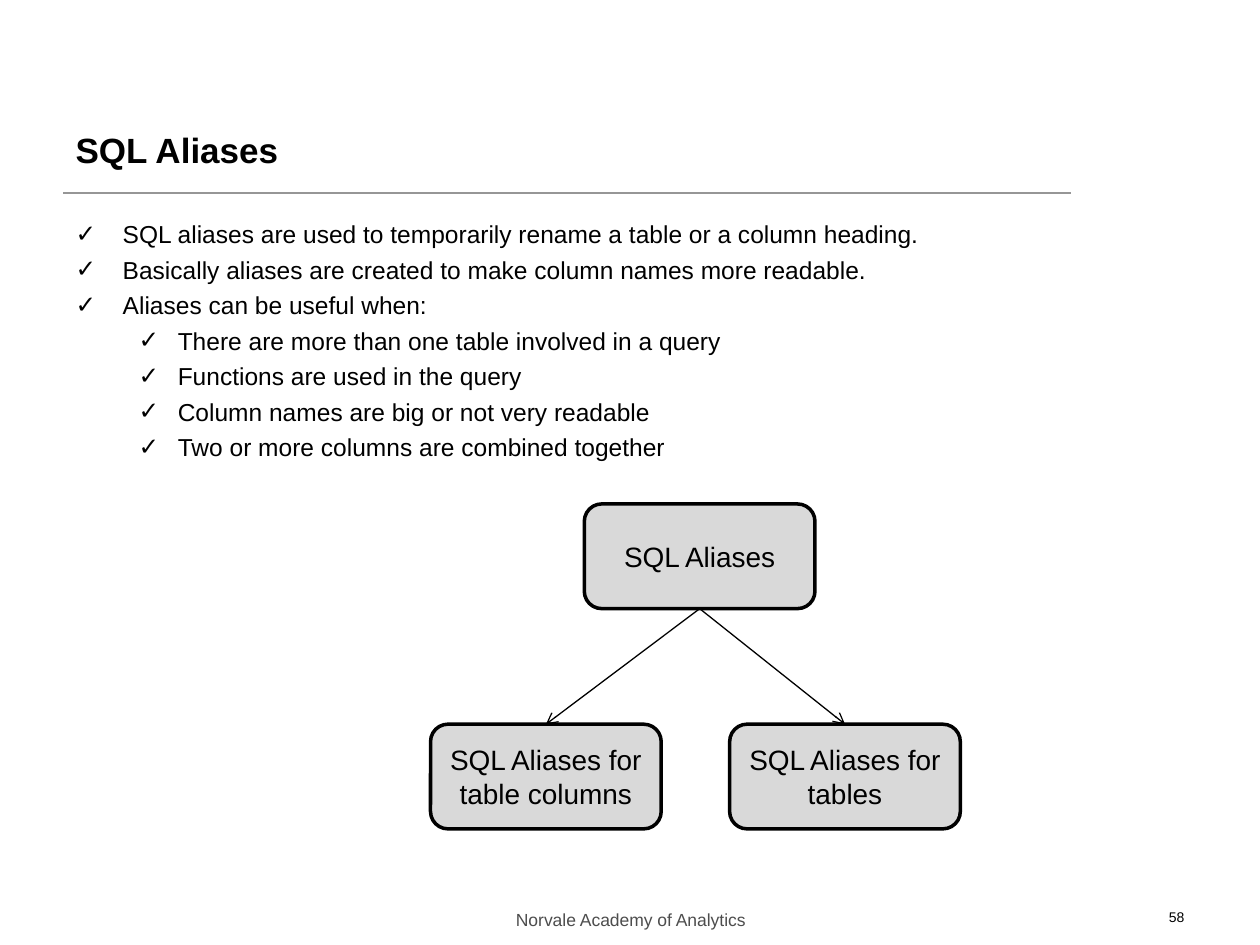
from dataclasses import dataclass

import lxml.etree
import pptx
import pptx.dml.color
import pptx.enum.shapes
import pptx.enum.text
import pptx.oxml.ns
import pptx.util

Cm = pptx.util.Cm
Pt = pptx.util.Pt
Align = pptx.enum.text.PP_ALIGN
Anchor = pptx.enum.text.MSO_ANCHOR

FONT = "Arial"
BLACK = "000000"
BOX_WIDTH, BOX_HEIGHT = 4.65, 2.11
BOTTOM, TOP = 2, 0


@dataclass
class Bullet:
    text: str
    level: int = 0


@dataclass
class Box:
    text: str
    left: float
    top: float


@dataclass
class Label:
    text: str
    left: float
    width: float
    size: float
    color: str
    align: Align


BULLETS = [
    Bullet("SQL aliases are used to temporarily rename a table or a column heading."),
    Bullet("Basically aliases are created to make column names more readable."),
    Bullet("Aliases can be useful when:"),
    Bullet("There are more than one table involved in a query", 1),
    Bullet("Functions are used in the query", 1),
    Bullet("Column names are big or not very readable", 1),
    Bullet("Two or more columns are combined together", 1),
]
# Left edge of the text and hanging indent, by bullet level
INDENTS = [(0.95, -0.95), (2.06, -0.79)]

PARENT = Box("SQL Aliases", 11.78, 10.16)
CHILDREN = [
    Box("SQL Aliases for table columns", 8.68, 14.6),
    Box("SQL Aliases for tables", 14.71, 14.6),
]
LABELS = [
    Label("Norvale Academy of Analytics", 8.69, 8.05, 10, "4D4D4D", Align.CENTER),
    Label("58", 18.21, 5.92, 8, BLACK, Align.RIGHT),
]


def rgb(color: str) -> pptx.dml.color.RGBColor:
    return pptx.dml.color.RGBColor.from_string(color)


def place(shape, left: float, top: float, width: float, height: float) -> None:
    shape.left, shape.top = Cm(left), Cm(top)
    shape.width, shape.height = Cm(width), Cm(height)


def format_paragraph(paragraph, size: float, color: str = BLACK,
                     align: Align = Align.LEFT, bold: bool = False) -> None:
    paragraph.alignment = align
    font = paragraph.font
    font.name, font.size, font.bold = FONT, Pt(size), bold
    font.color.rgb = rgb(color)


def prepare_frame(text_frame, anchor: Anchor) -> None:
    text_frame.word_wrap = True
    text_frame.auto_size = pptx.enum.text.MSO_AUTO_SIZE.NONE
    text_frame.vertical_anchor = anchor


def fill_title(shape, text: str) -> None:
    place(shape, 1.27, 2.16, 19.05, 1.7)
    prepare_frame(shape.text_frame, Anchor.MIDDLE)
    shape.text_frame.text = text
    format_paragraph(shape.text_frame.paragraphs[0], 20, bold=True)


def fill_list(shape, bullets: list[Bullet]) -> None:
    place(shape, 1.27, 4.29, 22.86, 6.07)
    prepare_frame(shape.text_frame, Anchor.TOP)
    shape.text_frame.text = "\n".join(bullet.text for bullet in bullets)
    for paragraph, bullet in zip(shape.text_frame.paragraphs, bullets):
        paragraph.level = bullet.level
        paragraph.space_before = Pt(3.5)
        margin, indent = INDENTS[bullet.level]
        properties = paragraph._p.get_or_add_pPr()
        properties.set("marL", str(Cm(margin)))
        properties.set("indent", str(Cm(indent)))
        lxml.etree.SubElement(properties, pptx.oxml.ns.qn("a:buChar"), char="✓")
        format_paragraph(paragraph, 14)


def add_line(slide, start: tuple[float, float], end: tuple[float, float], color: str):
    connector = slide.shapes.add_connector(
        pptx.enum.shapes.MSO_CONNECTOR.STRAIGHT, *map(Cm, start + end))
    connector.line.color.rgb = rgb(color)
    connector.line.width = Pt(0.75)
    lxml.etree.SubElement(connector._element.spPr, pptx.oxml.ns.qn("a:effectLst"))
    return connector


def add_arrow(slide, source, target) -> None:
    connector = add_line(slide, (0, 0), (1, 1), BLACK)
    connector.begin_connect(source, BOTTOM)
    connector.end_connect(target, TOP)
    lxml.etree.SubElement(connector.line._get_or_add_ln(),
                          pptx.oxml.ns.qn("a:tailEnd"), type="arrow")


def add_box(slide, box: Box):
    shape = slide.shapes.add_shape(
        pptx.enum.shapes.MSO_SHAPE.ROUNDED_RECTANGLE,
        Cm(box.left), Cm(box.top), Cm(BOX_WIDTH), Cm(BOX_HEIGHT))
    shape.shadow.inherit = False
    shape.fill.solid()
    shape.fill.fore_color.rgb = rgb("D9D9D9")
    shape.line.color.rgb = rgb(BLACK)
    shape.line.width = Pt(2)
    prepare_frame(shape.text_frame, Anchor.MIDDLE)
    shape.text_frame.text = box.text
    format_paragraph(shape.text_frame.paragraphs[0], 16, align=Align.CENTER)
    return shape


def add_label(slide, label: Label) -> None:
    shape = slide.shapes.add_textbox(Cm(label.left), Cm(18.19), Cm(label.width), Cm(0.64))
    prepare_frame(shape.text_frame, Anchor.TOP)
    shape.text_frame.text = label.text
    format_paragraph(shape.text_frame.paragraphs[0], label.size, label.color, label.align)


def main() -> None:
    presentation = pptx.Presentation()
    presentation.slide_width, presentation.slide_height = Cm(25.4), Cm(19.05)
    slide = presentation.slides.add_slide(presentation.slide_layouts[1])

    # Title, rule and list
    fill_title(slide.shapes.title, "SQL Aliases")
    add_line(slide, (1.27, 3.89), (21.59, 3.89), "969696")
    fill_list(slide.placeholders[1], BULLETS)

    # Tree of alias kinds
    parent = add_box(slide, PARENT)
    for child in CHILDREN:
        add_arrow(slide, parent, add_box(slide, child))

    # Footer and page number
    for label in LABELS:
        add_label(slide, label)

    presentation.save("out.pptx")


if __name__ == "__main__":
    main()
